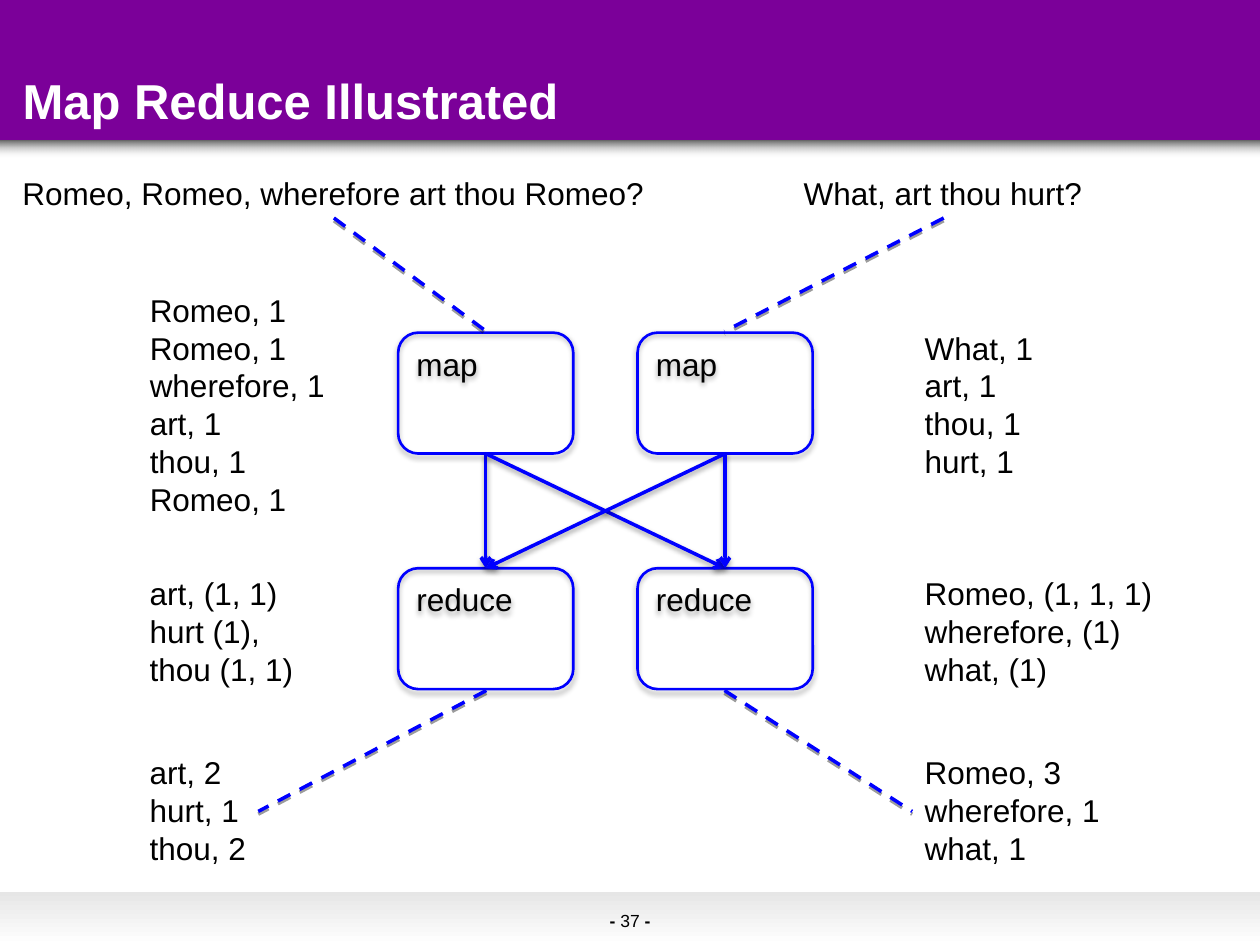
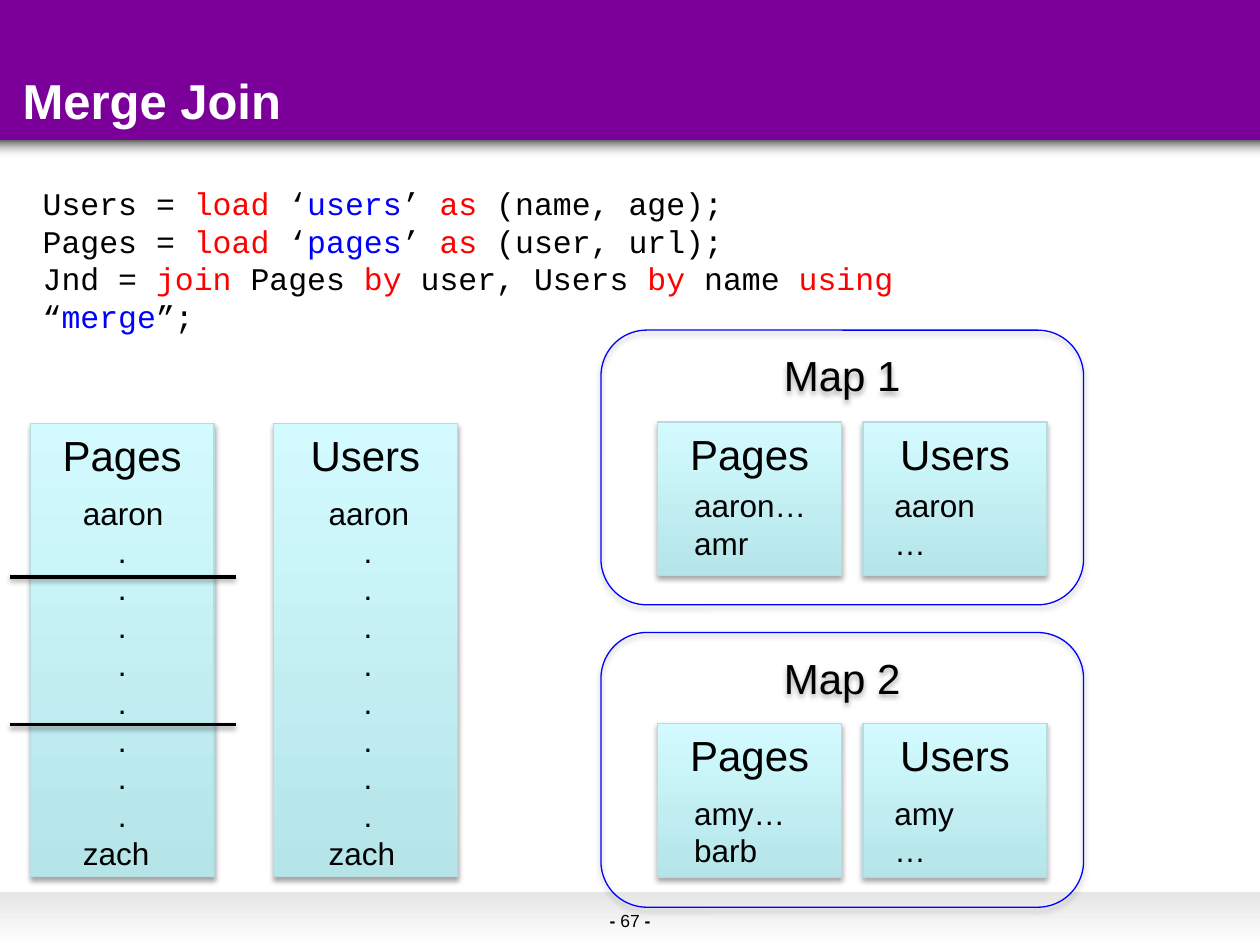
import dataclasses
import itertools

import lxml.etree
import pptx
import pptx.dml.color
import pptx.enum.dml
import pptx.enum.shapes
import pptx.enum.text
import pptx.oxml.ns
import pptx.util

PX = 9144  # 100 px to the inch
KIND = pptx.enum.shapes.MSO_SHAPE
ALIGN = pptx.enum.text.PP_ALIGN
ANCHOR = pptx.enum.text.MSO_ANCHOR
FIT = pptx.enum.text.MSO_AUTO_SIZE


@dataclasses.dataclass(frozen=True)
class Theme:
    ink: str = "000000"
    paper: str = "FFFFFF"
    brand: str = "7B0099"
    blue: str = "0000FF"
    red: str = "FF0000"
    edge: str = "B6DCDF"
    card: tuple = ("D3FBFF", "B5E5E9")
    foot: tuple = ("E6E6E6", "FFFFFF")
    fade: tuple = ("000000", "FFFFFF")
    sans: str = "Arial"
    mono: str = "Courier New"
    title: int = 28
    head: int = 24
    body: int = 18
    small: int = 10


def rgb(code):
    return pptx.dml.color.RGBColor.from_string(code)


def put(item, **values):
    for name, value in values.items():
        setattr(item, name, value)


def node(parent, tag, **attrs):
    child = lxml.etree.SubElement(parent, pptx.oxml.ns.qn(tag))
    for name, value in attrs.items():
        child.set(name, str(value))
    return child


def shade(effects, blur, gap, alpha):
    """Add a shadow that falls straight down; blur and gap are in points."""
    drop = node(effects, "a:outerShdw", blurRad=int(blur * 12700),
                dist=int(gap * 12700), dir=5400000, rotWithShape=0)
    tint = node(drop, "a:srgbClr", val="000000")
    node(tint, "a:alpha", val=alpha * 1000)


class Deck:
    def __init__(self, theme):
        self.theme = theme
        self.show = pptx.Presentation()
        put(self.show, slide_width=1000 * PX, slide_height=750 * PX)
        self.slide = None

    def page(self, title, number):
        look = self.theme
        self.slide = self.show.slides.add_slide(self.show.slide_layouts[5])
        fade = self.box((0, 108, 1000, 17), look.fade)
        stop = fade.fill._xPr.findall(".//" + pptx.oxml.ns.qn("a:srgbClr"))[-1]
        node(stop, "a:alpha", val=0)
        self.box((0, 0, 1000, 111), look.brand)
        self.box((0, 708, 1000, 42), look.foot)
        self.note((474, 719, 92, 25),
                  [[("- ", {"bold": True}), (f"{number} ", {}), ("-", {"bold": True})]],
                  size=look.small, wrap=True, anchor=ANCHOR.BOTTOM)
        head = self.slide.shapes.title
        self.slide.shapes._spTree.append(head._element)  # above the band
        self.place(head, (8, 9, 975, 99))
        self.paint(head.fill, look.brand)
        put(head.text_frame, vertical_anchor=ANCHOR.BOTTOM, auto_size=FIT.NONE)
        self.words(head.text_frame, [title], size=look.title, color=look.paper,
                   bold=True)

    def place(self, shape, area):
        left, top, width, height = (n * PX for n in area)
        put(shape, left=left, top=top, width=width, height=height)

    def paint(self, fill, color):
        """Fill with a colour, a (top, bottom) pair, or nothing."""
        if color is None:
            fill.background()
        elif isinstance(color, str):
            fill.solid()
            fill.fore_color.rgb = rgb(color)
        else:
            fill.gradient()
            fill.gradient_angle = 270
            for stop, code in zip(fill.gradient_stops, color):
                stop.color.rgb = rgb(code)

    def words(self, frame, lines, size, color=None, face=None, bold=False,
              align=ALIGN.LEFT):
        """Set one paragraph a line; a line is a string or (text, format) runs."""
        look = self.theme
        for index, line in enumerate(lines):
            para = frame.add_paragraph() if index else frame.paragraphs[0]
            para.alignment = align
            for text, extra in [(line, {})] if isinstance(line, str) else line:
                run = para.add_run()
                run.text = text
                form = {"name": face or look.sans, "bold": bold,
                        "size": pptx.util.Pt(size)} | extra
                run.font.color.rgb = rgb(form.pop("color", color or look.ink))
                put(run.font, **form)

    def box(self, area, fill=None, line=None, width=0.75, kind=KIND.RECTANGLE,
            text=None, **form):
        shape = self.slide.shapes.add_shape(kind, *(n * PX for n in area))
        self.paint(shape.fill, fill)
        self.paint(shape.line.fill, line)
        shape.shadow.inherit = False
        if line:
            shape.line.width = pptx.util.Pt(width)
            effects = shape._element.spPr.find(pptx.oxml.ns.qn("a:effectLst"))
            shade(effects, 3.1, 1.8, 35)
        if text:
            shape.text_frame.vertical_anchor = ANCHOR.TOP
            self.words(shape.text_frame, [text], **form)
        return shape

    def note(self, area, lines, size=None, wrap=False, anchor=ANCHOR.TOP, **form):
        shape = self.slide.shapes.add_textbox(*(n * PX for n in area))
        put(shape.text_frame, word_wrap=wrap, vertical_anchor=anchor,
            auto_size=FIT.NONE if wrap else FIT.SHAPE_TO_FIT_TEXT)
        self.words(shape.text_frame, lines, size or self.theme.body, **form)
        return shape

    def wire(self, start, end, color, dash=False, arrow=False):
        line = self.slide.shapes.add_connector(
            pptx.enum.shapes.MSO_CONNECTOR.STRAIGHT,
            *(n * PX for n in start + end))
        self.paint(line.line.fill, color)
        line.line.width = pptx.util.Pt(2)
        if dash:
            line.line.dash_style = pptx.enum.dml.MSO_LINE.DASH
        if arrow:
            node(line.line._get_or_add_ln(), "a:tailEnd", type="arrow")
        shade(node(line._element.spPr, "a:effectLst"), 0 if dash else 3.1, 1.6, 38)
        return line


def flow(deck):
    look = deck.theme
    deck.page("Map Reduce Illustrated", 37)
    rows = {}
    for name, top in (("map", 264), ("reduce", 451)):
        rows[name] = [
            deck.box((left, top, 139, 96), line=look.blue, width=1.5,
                     kind=KIND.ROUNDED_RECTANGLE, text=name, size=look.body)
            for left in (316, 506)]
    for first, last in itertools.product(rows["map"], rows["reduce"]):
        line = deck.wire((386, 360), (575, 451), look.blue, arrow=True)
        line.begin_connect(first, 2)
        line.end_connect(last, 0)
    for start, end in (((265, 173), (386, 263)), ((749, 173), (575, 263)),
                       ((386, 548), (205, 644)), ((575, 548), (724, 644))):
        deck.wire(start, end, look.blue, dash=True)

    deck.note((8, 133, 513, 40), ["Romeo, Romeo, wherefore art thou Romeo?"])
    deck.note((628, 133, 241, 40), ["What, art thou hurt?"])
    sides = (
        (109, ((226, 159, "Romeo, 1|Romeo, 1|wherefore, 1|art, 1|thou, 1|Romeo, 1"),
               (451, 134, "art, (1, 1)|hurt (1),|thou (1, 1)"),
               (593, 97, "art, 2|hurt, 1|thou, 2"))),
        (724, ((256, 106, "What, 1|art, 1|thou, 1|hurt, 1"),
               (451, 201, "Romeo, (1, 1, 1)|wherefore, (1)|what, (1)"),
               (593, 159, "Romeo, 3|wherefore, 1|what, 1"))))
    for left, notes in sides:
        for top, width, text in notes:
            lines = text.split("|")
            deck.note((left, top, width, 10 + 30 * len(lines)), lines)


def script(deck, area, lines):
    """Show lines whose |parts| are coloured as keywords or as names."""
    look = deck.theme
    tints = dict.fromkeys(("load", "as", "join", "by", "using"), look.red)
    tints |= dict.fromkeys(("users", "pages", "merge"), look.blue)
    runs = [[(part, {"color": tints.get(part, look.ink)})
             for part in line.split("|")] for line in lines]
    deck.note(area, runs, wrap=True, face=look.mono)


def merge(deck):
    look = deck.theme
    form = {"size": look.head, "align": ALIGN.CENTER}
    card = {"fill": look.card, "line": look.edge} | form
    deck.page("Merge Join", 67)
    for left, inner, name in ((24, 56, "Pages"), (217, 251, "Users")):
        deck.box((left, 336, 146, 360), text=name, **card)
        names = deck.note((inner, 387, 84, 310), ["aaron", *"." * 8, "zach"])
        for para in names.text_frame.paragraphs[1:-1]:
            para._p.get_or_add_pPr().set("marL", str(pptx.util.Pt(20)))
    script(deck, (24, 141, 826, 100), (
        "Users = |load| ‘|users|’ |as| (name, age);",
        "Pages = |load| ‘|pages|’ |as| (user, url);",
        "Jnd = |join| Pages |by| user, Users |by| name |using| “|merge|”;"))
    for level in (458, 575):
        deck.wire((8, level), (187, level), look.ink)

    maps = (("Map 1", 262, 335, 381, (("aaron…", "amr"), ("aaron", "…"))),
            ("Map 2", 502, 574, 625, (("amy…", "barb"), ("amy", "…"))))
    for title, top, under, inner, lists in maps:
        deck.box((477, top, 383, 218), line=look.blue,
                 kind=KIND.ROUNDED_RECTANGLE, text=title, **form)
        cards = ((522, 541, 109, "Pages"), (685, 700, 84, "Users"))
        for (left, text, width, name), lines in zip(cards, lists):
            deck.box((left, under, 146, 122), text=name, **card)
            deck.note((text, inner, width, 70), lines)


def main():
    deck = Deck(Theme())
    flow(deck)
    merge(deck)
    deck.show.save("out.pptx")


if __name__ == "__main__":
    main()
